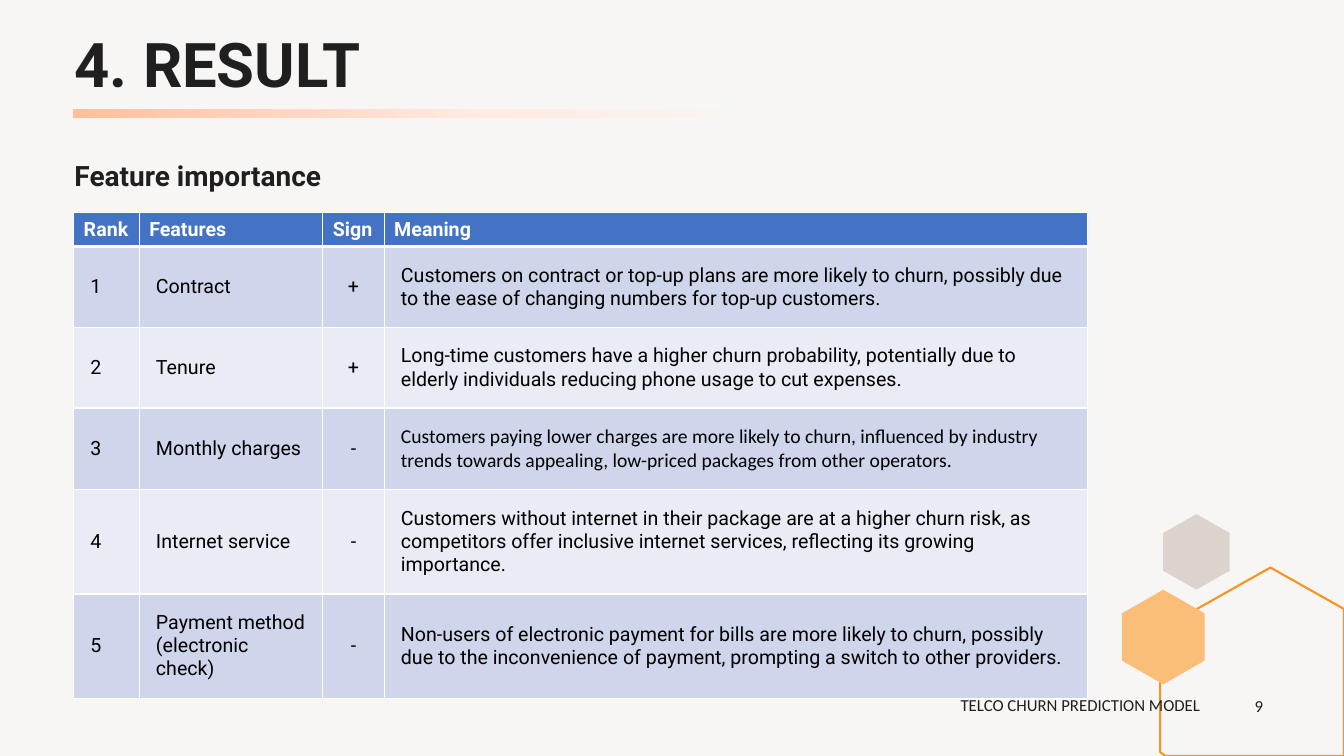
from pptx import Presentation
from pptx.dml.color import RGBColor
from pptx.enum.shapes import MSO_SHAPE as Shape
from pptx.enum.text import MSO_ANCHOR as Anchor, PP_ALIGN as Align
from pptx.oxml import parse_xml
from pptx.oxml.ns import nsdecls, qn
from pptx.util import Pt

INK = RGBColor(0x1F, 0x1F, 0x1F)
BLACK = RGBColor(0, 0, 0)
WHITE = RGBColor(0xFF, 0xFF, 0xFF)
PAPER = RGBColor(0xF8, 0xF6, 0xF5)
STONE = RGBColor(0xDC, 0xD3, 0xCC)
ORANGE = RGBColor(0xF7, 0x93, 0x20)
APRICOT = RGBColor(0xFA, 0xBE, 0x79)
HEADER_BLUE = RGBColor(0x44, 0x72, 0xC4)
BANDS = (RGBColor(0xCF, 0xD5, 0xEA), RGBColor(0xE9, 0xEB, 0xF5))
RULE_STOPS = (
    (0, RGBColor(0xFF, 0xBF, 0x9B)),
    (29, RGBColor(0xFF, 0xD6, 0xC2)),
    (55, RGBColor(0xFF, 0xEB, 0xE1)),
    (96, PAPER),
)

TITLE_FONT = {"name": "Roboto", "size": Pt(44), "bold": True}
HEADING_FONT = {"name": "Roboto", "size": Pt(20), "bold": True}
HEADER_FONT = {"name": "Roboto", "size": Pt(14), "bold": True}
BODY_FONT = {"name": "Roboto", "size": Pt(14), "bold": False}
FOOTER_FONT = {"name": "Calibri", "size": Pt(12)}

HEXAGON = ((0.5, 0), (1, 0.25), (1, 0.75), (0.5, 1), (0, 0.75), (0, 0.25))
HOUSE = ((0.6, 0), (1, 0.22), (1, 1), (0.03, 1), (0, 0.98), (0, 0.33))

COLUMN_WIDTHS = (46.8, 131.2, 43.8, 502.6)
ROW_HEIGHTS = (23.6, 57.8, 57.6, 58.4, 74, 73.8)
HEADERS = ("Rank", "Features", "Sign", "Meaning")
FEATURES = (
    ("Contract", "+", "Customers on contract or top-up plans are more likely to churn, "
     "possibly due to the ease of changing numbers for top-up customers."),
    ("Tenure", "+", "Long-time customers have a higher churn probability, potentially "
     "due to elderly individuals reducing phone usage to cut expenses."),
    ("Monthly charges", "-", "Customers paying lower charges are more likely to churn, "
     "influenced by industry trends towards appealing, low-priced packages from other operators."),
    ("Internet service", "-", "Customers without internet in their package are at a higher churn "
     "risk, as competitors offer inclusive internet services, reflecting its growing importance."),
    ("Payment method\n(electronic check)", "-", "Non-users of electronic payment for bills are more "
     "likely to churn, possibly due to the inconvenience of payment, prompting a switch to other providers."),
)
CALIBRI_MEANING = "Monthly charges"


def write(frame, text, font, color, align=Align.LEFT):
    para = frame.paragraphs[0]
    para.alignment = align
    for index, line in enumerate(text.split("\n")):
        if index:
            para.add_line_break()
        span = para.add_run()
        span.text = line
        for name, value in font.items():
            setattr(span.font, name, value)
        span.font.color.rgb = color
    return para


def add_text(page, box, text, font, align=Align.LEFT, anchor=Anchor.TOP):
    frame = page.shapes.add_textbox(*map(Pt, box)).text_frame
    frame.word_wrap = True
    frame.vertical_anchor = anchor
    return write(frame, text, font, INK, align)


def add_outline(page, box, corners, fill=None, line=None):
    left, top, width, height = box
    points = [(Pt(left + x * width), Pt(top + y * height)) for x, y in corners]
    builder = page.shapes.build_freeform(*points[0])
    builder.add_line_segments(points[1:], close=True)
    shape = builder.convert_to_shape()
    shape.shadow.inherit = False
    if fill is None:
        shape.fill.background()
    else:
        shape.fill.solid()
        shape.fill.fore_color.rgb = fill
    if line is None:
        shape.line.fill.background()
    else:
        shape.line.color.rgb = line
        shape.line.width = Pt(1.5)


def add_hexagons(page, box):
    left, top, width, height = box
    add_outline(page, (left + 29.5, top, 47.5, 54), HEXAGON, fill=STONE)
    add_outline(page, (left + 27.3, top + 38.2, width - 27.3, height - 38.2), HOUSE, line=ORANGE)
    add_outline(page, (left, top + 54, 59, 67.6), HEXAGON, fill=APRICOT)


def add_title(page, box):
    left, top, width, height = box
    title = page.shapes.title
    title.left, title.top, title.width, title.height = map(Pt, (left, top, width, 53.3))
    title.text_frame.vertical_anchor = Anchor.MIDDLE
    write(title.text_frame, "4. RESULT", TITLE_FONT, INK).line_spacing = 0.9

    rule_box = (left + 6.5, top + height - 5.8, 530, 5.8)
    rule = page.shapes.add_shape(Shape.RECTANGLE, *map(Pt, rule_box))
    rule.shadow.inherit = False
    rule.line.fill.background()
    stops = "".join(
        f'<a:gs pos="{position * 1000}"><a:srgbClr val="{color}"/></a:gs>'
        for position, color in RULE_STOPS
    )
    gradient = parse_xml(
        f'<a:gradFill {nsdecls("a")} rotWithShape="1"><a:gsLst>{stops}</a:gsLst>'
        '<a:path path="circle"><a:fillToRect t="100000" r="100000"/></a:path></a:gradFill>'
    )
    rule.element.spPr.find(qn("a:prstGeom")).addnext(gradient)


def add_cell_borders(cell, top, bottom):
    properties = cell._tc.get_or_add_tcPr()
    sides = {"lnL": 1, "lnR": 1, "lnT": top, "lnB": bottom}
    for index, (side, width) in enumerate(sides.items()):
        properties.insert(index, parse_xml(
            f'<a:{side} {nsdecls("a")} w="{Pt(width)}"><a:solidFill>'
            f'<a:srgbClr val="{WHITE}"/></a:solidFill></a:{side}>'
        ))


def fill_cell(cell, row, column, text, feature):
    cell.fill.solid()
    if row == 0:
        cell.fill.fore_color.rgb = HEADER_BLUE
        write(cell.text_frame, text, HEADER_FONT, WHITE)
    else:
        cell.fill.fore_color.rgb = BANDS[(row - 1) % 2]
        cell.vertical_anchor = Anchor.MIDDLE
        for side in ("left", "top", "right", "bottom"):
            setattr(cell, f"margin_{side}", Pt(12))
        font = dict(BODY_FONT)
        if column == 3 and feature == CALIBRI_MEANING:
            font["name"] = "Calibri"
        write(cell.text_frame, text, font, BLACK, Align.CENTER if column == 2 else Align.LEFT)
    add_cell_borders(cell, top=3 if row == 1 else 1, bottom=3 if row == 0 else 1)


def add_feature_table(page, box):
    left, top, width, height = box
    add_text(page, (left - 6.5, top - 42.5, 428.4, 31.7), "Feature importance", HEADING_FONT)
    rows = [HEADERS] + [(str(rank), *feature) for rank, feature in enumerate(FEATURES, 1)]
    table = page.shapes.add_table(len(rows), len(HEADERS), *map(Pt, box)).table
    for column, column_width in zip(table.columns, COLUMN_WIDTHS):
        column.width = Pt(column_width)
    for row, row_height in zip(table.rows, ROW_HEIGHTS):
        row.height = Pt(row_height)
    for row, texts in enumerate(rows):
        for column, text in enumerate(texts):
            fill_cell(table.cell(row, column), row, column, text, texts[1])


def add_footer(page, box):
    left, top, width, height = box
    label = add_text(page, (left, top + 2.9, 202.3, 23), "TELCO CHURN PREDICTION MODEL", FOOTER_FONT)
    label.space_after = Pt(6)
    add_text(page, (left + width - 36, top, 36, height), "9", FOOTER_FONT, Align.CENTER, Anchor.MIDDLE)


def main():
    deck = Presentation()
    deck.slide_width, deck.slide_height = Pt(960), Pt(540)
    page = deck.slides.add_slide(deck.slide_layouts[5])
    page.background.fill.solid()
    page.background.fill.fore_color.rgb = PAPER
    add_hexagons(page, (801.4, 367.2, 158.6, 172.8))
    add_title(page, (46, 21.6, 475.2, 62.7))
    add_feature_table(page, (52.6, 152, sum(COLUMN_WIDTHS), sum(ROW_HEIGHTS)))
    add_footer(page, (679, 489.6, 238.3, 28.8))
    deck.save("out.pptx")


if __name__ == "__main__":
    main()
